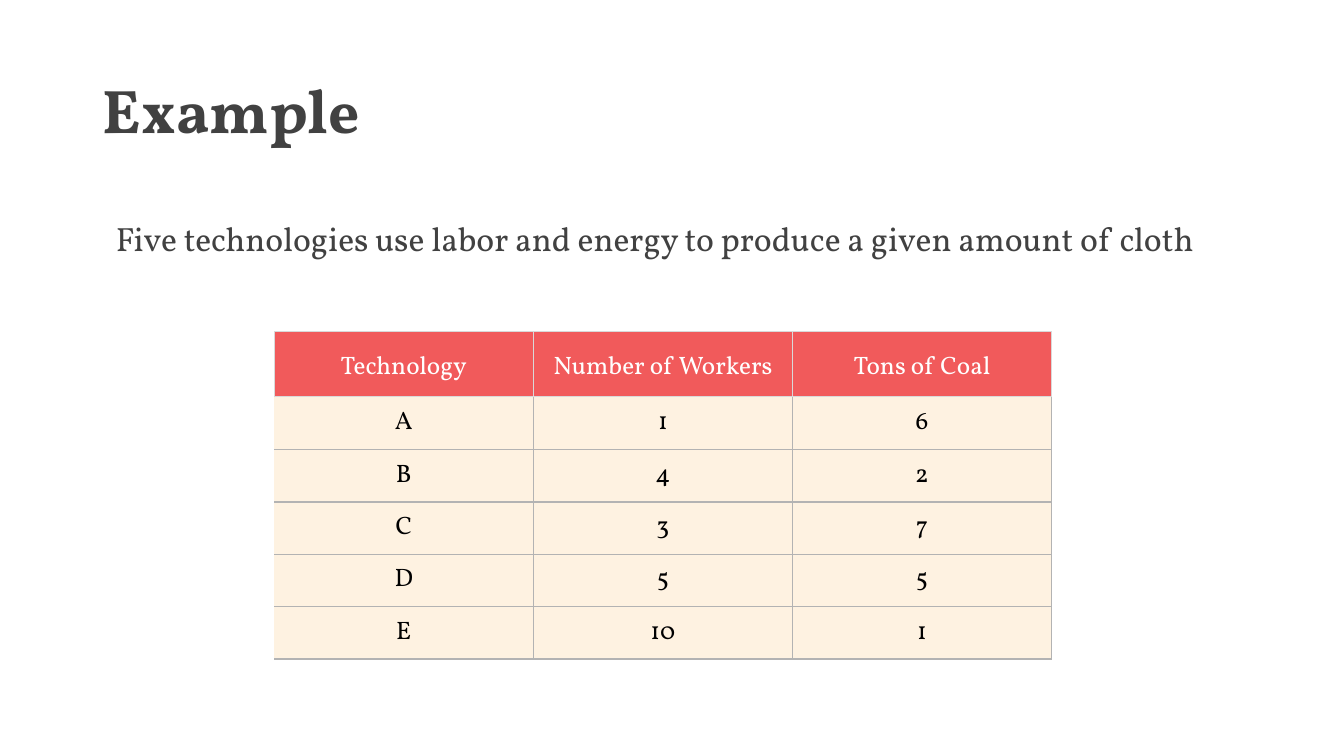
from lxml import etree
from pptx import Presentation
from pptx.dml.color import RGBColor
from pptx.enum.shapes import MSO_SHAPE
from pptx.enum.text import MSO_ANCHOR, PP_ALIGN
from pptx.oxml.ns import qn
from pptx.util import Inches, Pt

# Content
TITLE = "Example"
LEAD = "Five technologies use labor and energy to produce a given amount of cloth"
HEADS = ["Technology", "Number of Workers", "Tons of Coal"]
ROWS = [
    ("A", 1, 6),
    ("B", 4, 2),
    ("C", 3, 7),
    ("D", 5, 5),
    ("E", 10, 1),
]

# Format values
FONT = "Vollkorn"
WHITE = RGBColor(0xFF, 0xFF, 0xFF)
BLACK = RGBColor(0x00, 0x00, 0x00)
DARK = RGBColor(0x41, 0x41, 0x41)
CORAL = RGBColor(0xF1, 0x5A, 0x5B)
CREAM = RGBColor(0xFE, 0xF2, 0xE1)
PALE = RGBColor(0xD9, 0xD9, 0xD9)
GREY = RGBColor(0xB3, 0xB3, 0xB3)
RECT = MSO_SHAPE.RECTANGLE
MID, TOP = MSO_ANCHOR.MIDDLE, MSO_ANCHOR.TOP
LEFT, MIDDLE = PP_ALIGN.LEFT, PP_ALIGN.CENTER
STYLES = {
    "title": {"size": Pt(44), "bold": True, "color": DARK},
    "lead": {"size": Pt(24), "bold": False, "color": DARK},
    "head": {"size": Pt(18), "bold": False, "color": WHITE},
    "body": {"size": Pt(18), "bold": False, "color": BLACK},
}

# Grid in inches
WIDE, HIGH = 13.33, 7.5
GRID_X, GRID_Y = 2.72, 3.29
COL, HEAD, ROW = 2.57, 0.65, 0.52


def write(frame, text, style, align):
    para = frame.paragraphs[0]
    para.alignment = align
    run = para.add_run()
    run.text = text
    run.font.name = FONT
    for key, value in STYLES[style].items():
        if key == "color":
            run.font.color.rgb = value
        else:
            setattr(run.font, key, value)
    return para


def add_text(slide, box, text, style, anchor):
    frame = slide.shapes.add_textbox(*map(Inches, box)).text_frame
    frame.word_wrap = True
    frame.vertical_anchor = anchor
    return write(frame, text, style, LEFT)


def add_edge(cell, side, shown):
    line = etree.SubElement(cell._tc.get_or_add_tcPr(), qn("a:ln" + side), w=str(Pt(1)))
    if shown:
        fill = etree.SubElement(line, qn("a:solidFill"))
        etree.SubElement(fill, qn("a:srgbClr"), val=str(GREY))
    else:
        etree.SubElement(line, qn("a:noFill"))


def add_heads(slide):
    group = slide.shapes.add_group_shape()
    for c, text in enumerate(HEADS):
        box = (GRID_X + c * COL, GRID_Y, COL, HEAD)
        shape = group.shapes.add_shape(RECT, *map(Inches, box))
        shape.shadow.inherit = False
        shape.fill.solid()
        shape.fill.fore_color.rgb = CORAL
        shape.line.color.rgb = PALE
        shape.line.width = Pt(1)
        frame = shape.text_frame
        frame.word_wrap = True
        frame.vertical_anchor = MID
        frame.margin_top = frame.margin_bottom = 0
        write(frame, text, "head", MIDDLE)


def add_grid(slide):
    box = (GRID_X, GRID_Y + HEAD, COL * len(HEADS), ROW * len(ROWS))
    table = slide.shapes.add_table(len(ROWS), len(HEADS), *map(Inches, box)).table
    table.first_row = table.horz_banding = False
    for col in table.columns:
        col.width = Inches(COL)
    for r, row in enumerate(ROWS):
        table.rows[r].height = Inches(ROW)
        for c, value in enumerate(row):
            cell = table.cell(r, c)
            for side in ("left", "right", "top", "bottom"):
                setattr(cell, "margin_" + side, 0)
            cell.vertical_anchor = MID
            # Outer left and top edges stay open
            for side, shown in (("L", c > 0), ("R", True), ("T", r > 0), ("B", True)):
                add_edge(cell, side, shown)
            cell.fill.solid()
            cell.fill.fore_color.rgb = CREAM
            write(cell.text_frame, str(value), "body", MIDDLE)


def main():
    deck = Presentation()
    deck.slide_width, deck.slide_height = Inches(WIDE), Inches(HIGH)
    slide = deck.slides.add_slide(deck.slide_layouts[6])

    # Column heads and table
    add_heads(slide)
    add_grid(slide)

    # Title and lead line
    title = add_text(slide, (0.92, 0.4, 11.5, 1.45), TITLE, "title", MID)
    title.line_spacing = 0.9
    add_text(slide, (1.05, 2.11, 11.5, 0.5), LEAD, "lead", TOP)

    deck.save("out.pptx")


if __name__ == "__main__":
    main()
